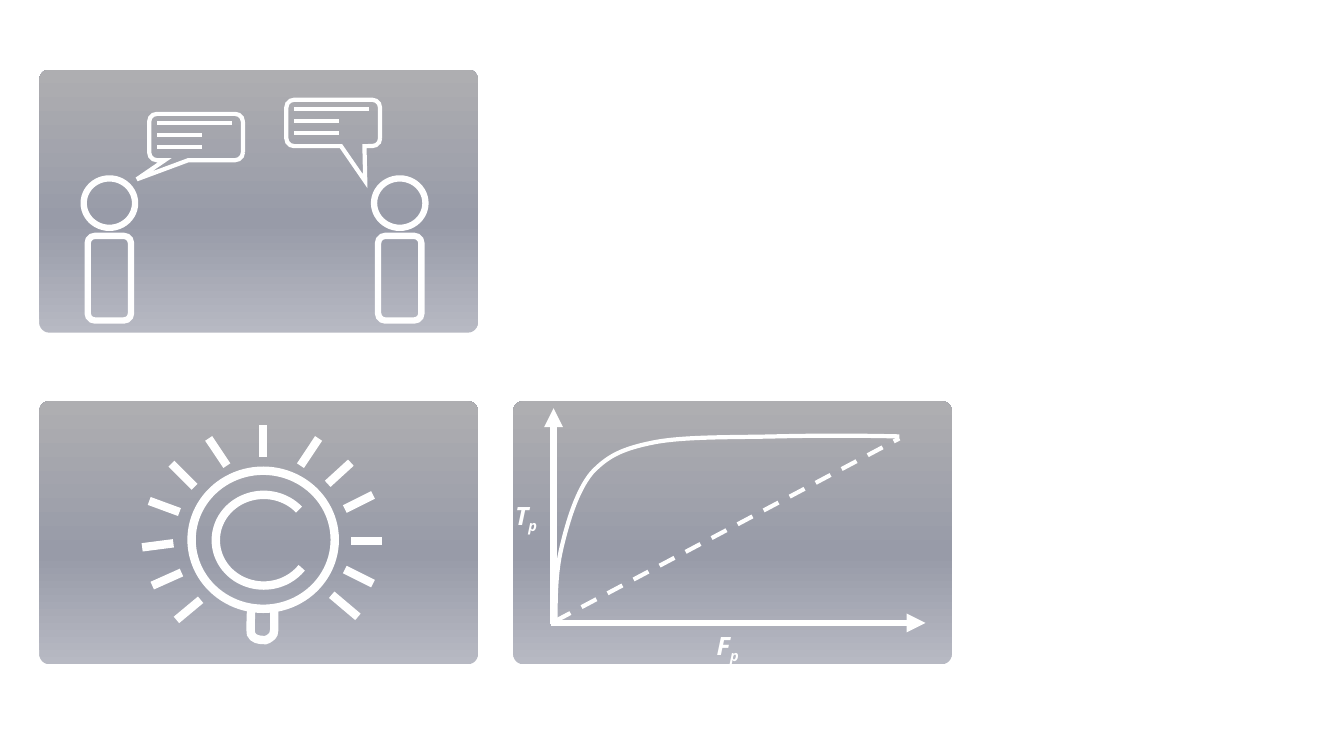
"""Draw three grey panels: a talk, a glowing coin bulb and a curve chart."""
from copy import deepcopy
from dataclasses import dataclass

from lxml import etree
from pptx import Presentation
from pptx.dml.color import RGBColor
from pptx.enum.dml import MSO_LINE
from pptx.enum.shapes import MSO_CONNECTOR, MSO_SHAPE
from pptx.enum.text import MSO_AUTO_SIZE
from pptx.oxml.ns import qn
from pptx.shapes.autoshape import Shape
from pptx.shapes.base import BaseShape
from pptx.shapes.connector import Connector
from pptx.util import Inches, Pt

ROUND = MSO_SHAPE.ROUNDED_RECTANGLE
OVAL = MSO_SHAPE.OVAL
ARC = MSO_SHAPE.ARC
BUBBLE = MSO_SHAPE.ROUNDED_RECTANGULAR_CALLOUT
LINE = MSO_CONNECTOR.STRAIGHT
DASH = MSO_LINE.DASH
FIT = MSO_AUTO_SIZE.SHAPE_TO_FIT_TEXT

WHITE = "FFFFFF"
FONT = "Open Sans"
SHADES = [(0, "B7B9C3"), (0.42, "989BA8"), (1, "AEAEB1")]

Point = tuple[float, float]


@dataclass
class Box:
    """A place on the slide, in inches."""
    x: float
    y: float
    w: float
    h: float


@dataclass
class Talk:
    """A speaker, the bubble and the pull of its tail."""
    man: float
    x: float
    y: float
    tail: Point


@dataclass
class Label:
    """An axis name with its subscript."""
    x: float
    y: float
    name: str
    sub: str


TALKS = [Talk(0.83, 1.48, 1.13, (-0.632, 0.912)),
         Talk(3.71, 2.84, 0.99, (0.342, 1.259))]
WORDS = [0.74, 0.44, 0.44]
RAYS = [
    ((3.25, 4.8), (3.48, 4.59)), ((3.48, 5.37), (3.79, 5.37)),
    ((3.29, 5.9), (3.55, 6.12)), ((2.61, 4.53), (2.61, 4.22)),
    ((3.42, 5.65), (3.7, 5.79)), ((3.42, 5.05), (3.7, 4.91)),
    ((2.98, 4.62), (3.16, 4.35)), ((1.8, 5.68), (1.51, 5.81)),
    ((1.78, 5.08), (1.48, 4.97)), ((2.25, 4.62), (2.07, 4.35)),
    ((1.93, 4.83), (1.7, 4.6)), ((1.72, 5.39), (1.41, 5.43)),
    ((1.99, 5.95), (1.75, 6.15)),
]
BASE = [(2.49, 6.06), (2.49, 6.15), (2.48, 6.24), (2.49, 6.29), (2.51, 6.34),
        (2.57, 6.35), (2.61, 6.35), (2.64, 6.36), (2.68, 6.33), (2.7, 6.31),
        (2.72, 6.29), (2.71, 6.29), (2.72, 6.25), (2.72, 6.21), (2.72, 6.13),
        (2.72, 6.06)]
CURVE = [(5.51, 6.18), (5.51, 5.93), (5.51, 5.68), (5.57, 5.43), (5.63, 5.18),
         (5.72, 4.87), (5.87, 4.69), (6.03, 4.52), (6.18, 4.45), (6.48, 4.39),
         (6.78, 4.33), (7.27, 4.34), (7.68, 4.33), (8.09, 4.32), (8.5, 4.32),
         (8.92, 4.33)]
AXES = [((5.49, 6.19), (5.49, 4.05)), ((5.47, 6.18), (9.18, 6.18))]
LABELS = [Label(5.01, 4.91, "T", "p"), Label(7.01, 6.2, "F", "p")]

deck = Presentation()
deck.slide_width, deck.slide_height = Inches(13.33), Inches(7.5)
shapes = deck.slides.add_slide(deck.slide_layouts[6]).shapes


def paint(code: str) -> RGBColor:
    """Turn a hex string into a colour."""
    return RGBColor.from_string(code)


def stroke(item: BaseShape, width: float) -> None:
    """Give a shape or line a white stroke with sharp joins."""
    item.line.color.rgb = paint(WHITE)
    item.line.width = Pt(width)
    etree.SubElement(item.line._get_or_add_ln(), qn("a:miter"), lim="800000")


def place(kind: MSO_SHAPE, box: Box, *adj: float) -> Shape:
    """Add a preset shape without a shadow."""
    item = shapes.add_shape(kind, Inches(box.x), Inches(box.y),
                            Inches(box.w), Inches(box.h))
    item.shadow.inherit = False
    for i, value in enumerate(adj):
        item.adjustments[i] = value
    return item


def outline(kind: MSO_SHAPE, box: Box, width: float, *adj: float) -> Shape:
    """Add an unfilled shape with a white edge."""
    item = place(kind, box, *adj)
    item.fill.background()
    stroke(item, width)
    return item


def rule(start: Point, end: Point, width: float) -> Connector:
    """Add a straight white line."""
    item = shapes.add_connector(LINE, *map(Inches, start + end))
    etree.SubElement(item._element.spPr, qn("a:effectLst"))
    stroke(item, width)
    return item


def panel(x: float, y: float) -> None:
    """Add a rounded panel with a three-shade gradient."""
    item = place(ROUND, Box(x, y, 4.35, 2.61), 0.038)
    item.line.fill.background()
    item.fill.gradient()
    item.fill.gradient_angle = 90
    stops = item._element.spPr.find(".//" + qn("a:gsLst"))
    stops.append(deepcopy(stops[0]))
    for stop, (spot, code) in zip(item.fill.gradient_stops, SHADES):
        stop.position = spot
        stop.color.rgb = paint(code)


def bend(knots: list[Point], width: float) -> None:
    """Draw cubic curves, each with two handles and an end."""
    dots = [(Inches(x), Inches(y)) for x, y in knots]
    pen = shapes.build_freeform(*dots[0])
    pen.add_line_segments(dots[1:], close=False)
    item = pen.convert_to_shape()
    item.shadow.inherit = False
    item.fill.background()
    stroke(item, width)
    track = item._element.spPr.find(".//" + qn("a:path"))
    legs = track.findall(qn("a:lnTo"))
    for i in range(0, len(legs), 3):
        curve = etree.SubElement(track, qn("a:cubicBezTo"))
        for leg in legs[i:i + 3]:
            curve.append(leg[0])
            track.remove(leg)


def speak(talk: Talk) -> None:
    """Draw a person and a bubble with its lines of words."""
    outline(BUBBLE, Box(talk.x, talk.y, 0.93, 0.46), 3, *talk.tail, 0.167)
    outline(OVAL, Box(talk.man, 1.77, 0.51, 0.49), 4.5)
    outline(ROUND, Box(talk.man + 0.04, 2.34, 0.43, 0.84), 4.5)
    x = talk.x + 0.08
    for i, size in enumerate(WORDS):
        y = talk.y + 0.09 + 0.12 * i
        rule((x, y), (x + size, y), 3)


def name(label: Label) -> None:
    """Write an axis name with its subscript."""
    frame = shapes.add_textbox(Inches(label.x), Inches(label.y),
                               Inches(0.45), Inches(0.4)).text_frame
    frame.word_wrap = False
    frame.auto_size = FIT
    line = frame.paragraphs[0]
    font = line.font
    font.name, font.size = FONT, Pt(18)
    font.bold = font.italic = True
    font.color.rgb = paint(WHITE)
    line.add_run().text = label.name
    sub = line.add_run()
    sub.text = label.sub
    sub._r.get_or_add_rPr().set("baseline", "-25000")


def main() -> None:
    """Build the slide and save it."""
    panel(0.39, 0.69)
    for talk in TALKS:
        speak(talk)
    panel(0.39, 3.98)
    outline(OVAL, Box(1.9, 4.67, 1.42, 1.37), 6)
    arc = outline(ARC, Box(2.14, 4.91, 0.95, 0.9), 6, 132.53, 86.44)
    arc._element.spPr.xfrm.set("flipH", "1")
    bend(BASE, 6)
    for start, end in RAYS:
        rule(start, end, 6)
    panel(5.09, 3.98)
    for start, end in AXES:
        ln = rule(start, end, 4.5).line._get_or_add_ln()
        etree.SubElement(ln, qn("a:tailEnd"), type="triangle")
    for label in LABELS:
        name(label)
    bend(CURVE, 3)
    rule((5.51, 6.16), (8.92, 4.35), 3).line.dash_style = DASH
    deck.save("out.pptx")


if __name__ == "__main__":
    main()
